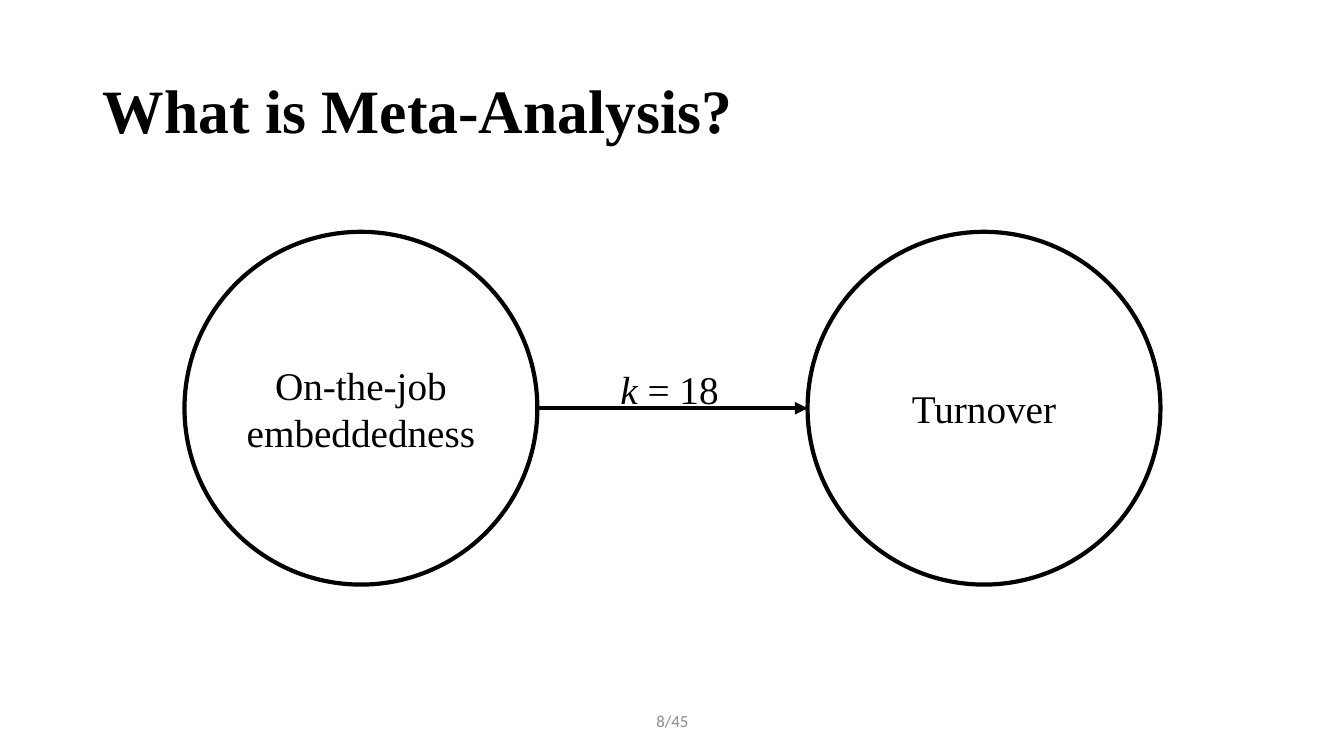
import pptx
import pptx.dml.color
import pptx.enum.shapes
import pptx.enum.text
import pptx.oxml
import pptx.oxml.ns
import pptx.util

Inches = pptx.util.Inches
Pt = pptx.util.Pt
BLACK = pptx.dml.color.RGBColor(0x00, 0x00, 0x00)
GRAY = pptx.dml.color.RGBColor(0x8C, 0x8C, 0x8C)
CENTER = pptx.enum.text.PP_ALIGN.CENTER
LEFT = pptx.enum.text.PP_ALIGN.LEFT
SERIF = "Times New Roman"
DIAMETER = 3.5


def write(frame, text, size, align=CENTER, font=SERIF, color=BLACK, bold=False):
    frame.word_wrap = True
    frame.vertical_anchor = pptx.enum.text.MSO_ANCHOR.MIDDLE
    frame.text = text
    paragraph = frame.paragraphs[0]
    paragraph.alignment = align
    paragraph.font.size = Pt(size)
    for run in paragraph.runs:
        run.font.name = font
        run.font.size = Pt(size)
        run.font.bold = bold
        run.font.color.rgb = color
    return paragraph


def add_label(slide, left, top, width, height, text, size, **style):
    label = slide.shapes.add_textbox(Inches(left), Inches(top), Inches(width), Inches(height))
    return write(label.text_frame, text, size, **style)


def add_construct(slide, left, top, name):
    construct = slide.shapes.add_shape(
        pptx.enum.shapes.MSO_SHAPE.OVAL,
        Inches(left), Inches(top), Inches(DIAMETER), Inches(DIAMETER),
    )
    construct.shadow.inherit = False
    construct.fill.background()
    construct.line.color.rgb = BLACK
    construct.line.width = Pt(3)
    write(construct.text_frame, name, 28)


def add_effect_arrow(slide, start, end, y):
    effect = slide.shapes.add_connector(
        pptx.enum.shapes.MSO_CONNECTOR.STRAIGHT,
        Inches(start), Inches(y), Inches(end), Inches(y),
    )
    effect.line.color.rgb = BLACK
    effect.line.width = Pt(3)
    head = pptx.oxml.parse_xml(
        f'<a:tailEnd {pptx.oxml.ns.nsdecls("a")} type="triangle"/>'
    )
    effect.line._get_or_add_ln().append(head)
    effect._element.spPr.append(
        pptx.oxml.parse_xml(f'<a:effectLst {pptx.oxml.ns.nsdecls("a")}/>')
    )


def add_relationship(slide, left, top, width):
    start = left + DIAMETER
    end = left + width - DIAMETER
    middle = top + DIAMETER / 2
    study_count = add_label(slide, start - 0.03, middle - 0.53, end - start, 0.67, "k", 28)
    study_count.runs[0].font.italic = True
    value = study_count.add_run()
    value.text = " = 18"
    value.font.name = SERIF
    value.font.size = Pt(28)
    value.font.color.rgb = BLACK
    add_construct(slide, left, top, "On-the-job embeddedness")
    add_construct(slide, end, top, "Turnover")
    add_effect_arrow(slide, start, end, middle)


def main():
    presentation = pptx.Presentation()
    presentation.slide_width = Inches(13.33)
    presentation.slide_height = Inches(7.5)
    slide = presentation.slides.add_slide(presentation.slide_layouts[6])
    add_relationship(slide, 1.83, 2.3, 9.68)
    title = add_label(slide, 0.92, 0.4, 11.5, 1.45, "What is Meta-Analysis?", 44,
                      align=LEFT, bold=True)
    title.line_spacing = 0.9
    add_label(slide, 4.42, 6.95, 4.5, 0.4, "8/45", 12, font="Calibri", color=GRAY)
    presentation.save("out.pptx")


if __name__ == "__main__":
    main()
